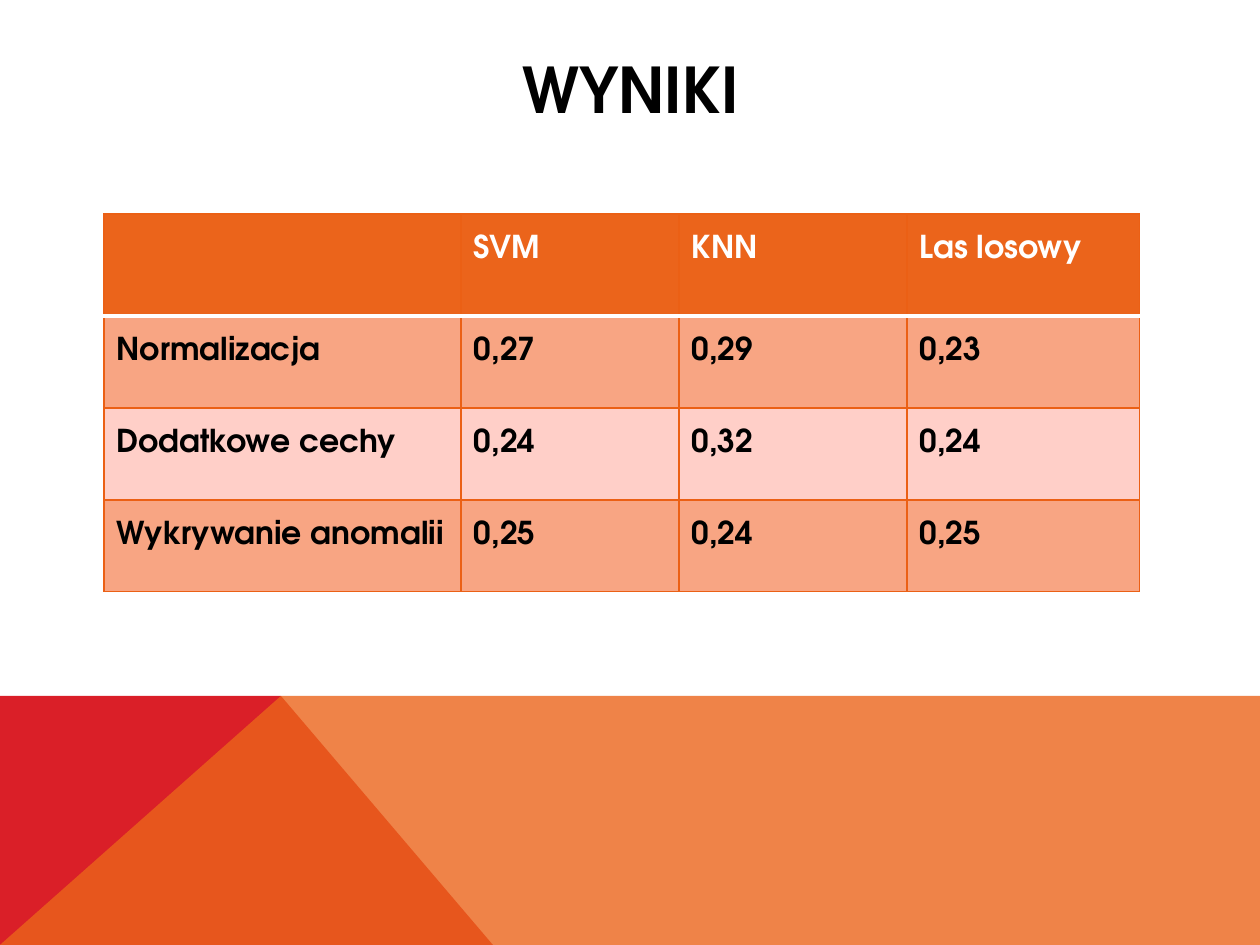
import pptx
import pptx.dml.color
import pptx.enum.text
import pptx.oxml
import pptx.oxml.ns
import pptx.util
from lxml import etree

TITLE = "WYNIKI"
RESULTS = [
    ["", "SVM", "KNN", "Las losowy"],
    ["Normalizacja", "0,27", "0,29", "0,23"],
    ["Dodatkowe cechy", "0,24", "0,32", "0,24"],
    ["Wykrywanie anomalii", "0,25", "0,24", "0,25"],
]
FONT = "TeX Gyre Adventor"
COLORS = {
    "text": "000000",
    "white": "FFFFFF",
    "red": "DA1F28",
    "orange": "EB641B",
    "border": "EB6015",
    "dark_band": "F8A583",
    "light_band": "FFCFC8",
}

# All lengths are px, 126 to the inch
SCALE = pptx.util.Inches(1) / 126
SLIDE_SIZE = (1260, 945)
TITLE_BOX = (113, 50, 1036, 76)
TABLE_ORIGIN = (104, 214)
COLUMN_WIDTHS = [357, 218, 228, 233]
ROW_HEIGHTS = [102, 92, 92, 92]
# Colour, opacity in percent, corners
FOOTER_PANELS = [
    ("red", 100, [(0, 945), (0, 696), (281, 696), (493, 945)]),
    ("orange", 80, [(0, 945), (281, 696), (1260, 696), (1260, 945)]),
]


def emu(px):
    return pptx.util.Emu(round(px * SCALE))


def rgb(name):
    return pptx.dml.color.RGBColor.from_string(COLORS[name])


def add_run(paragraph, text, size, color):
    run = paragraph.add_run()
    run.text = text
    run.font.name = FONT
    run.font.size = pptx.util.Pt(size)
    run.font.bold = True
    run.font.color.rgb = rgb(color)


def add_panel(slide, color, opacity, corners):
    builder = slide.shapes.build_freeform(*corners[0], scale=SCALE)
    builder.add_line_segments(corners[1:], close=True)
    shape = builder.convert_to_shape()
    shape.shadow.inherit = False
    shape.line.fill.background()
    shape.fill.solid()
    shape.fill.fore_color.rgb = rgb(color)
    if opacity < 100:
        color_element = shape.fill._xPr.find(".//" + pptx.oxml.ns.qn("a:srgbClr"))
        alpha = etree.SubElement(color_element, pptx.oxml.ns.qn("a:alpha"))
        alpha.set("val", str(opacity * 1000))


def add_border(cell, side, color, points):
    cell._tc.get_or_add_tcPr().append(pptx.oxml.parse_xml(
        f'<a:{side} {pptx.oxml.ns.nsdecls("a")} w="{pptx.util.Pt(points)}">'
        f'<a:solidFill><a:srgbClr val="{COLORS[color]}"/></a:solidFill></a:{side}>'
    ))


def format_cell(cell, row, text):
    header = row == 0
    for side in ("lnL", "lnR", "lnT", "lnB"):
        under_header = (row, side) in ((0, "lnB"), (1, "lnT"))
        add_border(cell, side, *(("white", 2) if under_header else ("border", 0.75)))
    cell.fill.solid()
    band = "dark_band" if row % 2 else "light_band"
    cell.fill.fore_color.rgb = rgb("orange" if header else band)
    paragraph = cell.text_frame.paragraphs[0]
    paragraph.line_spacing = 1.5
    if text:
        add_run(paragraph, text, 18, "white" if header else "text")


def add_results_table(slide):
    table = slide.shapes.add_table(
        len(RESULTS), len(RESULTS[0]), *map(emu, TABLE_ORIGIN),
        emu(sum(COLUMN_WIDTHS)), emu(sum(ROW_HEIGHTS))
    ).table
    for column, width in zip(table.columns, COLUMN_WIDTHS):
        column.width = emu(width)
    for row, height in zip(table.rows, ROW_HEIGHTS):
        row.height = emu(height)
    for row, texts in enumerate(RESULTS):
        for column, text in enumerate(texts):
            format_cell(table.cell(row, column), row, text)


def add_title(slide):
    title = slide.shapes.title
    title.left, title.top, title.width, title.height = map(emu, TITLE_BOX)
    frame = title.text_frame
    frame.auto_size = pptx.enum.text.MSO_AUTO_SIZE.NONE
    frame.vertical_anchor = pptx.enum.text.MSO_ANCHOR.MIDDLE
    paragraph = frame.paragraphs[0]
    paragraph.alignment = pptx.enum.text.PP_ALIGN.CENTER
    add_run(paragraph, TITLE, 36, "text")


def main():
    presentation = pptx.Presentation()
    presentation.slide_width, presentation.slide_height = map(emu, SLIDE_SIZE)
    title_only = presentation.slide_layouts[5]
    slide = presentation.slides.add_slide(title_only)
    for panel in FOOTER_PANELS:
        add_panel(slide, *panel)
    add_title(slide)
    add_results_table(slide)
    presentation.save("out.pptx")


if __name__ == "__main__":
    main()
